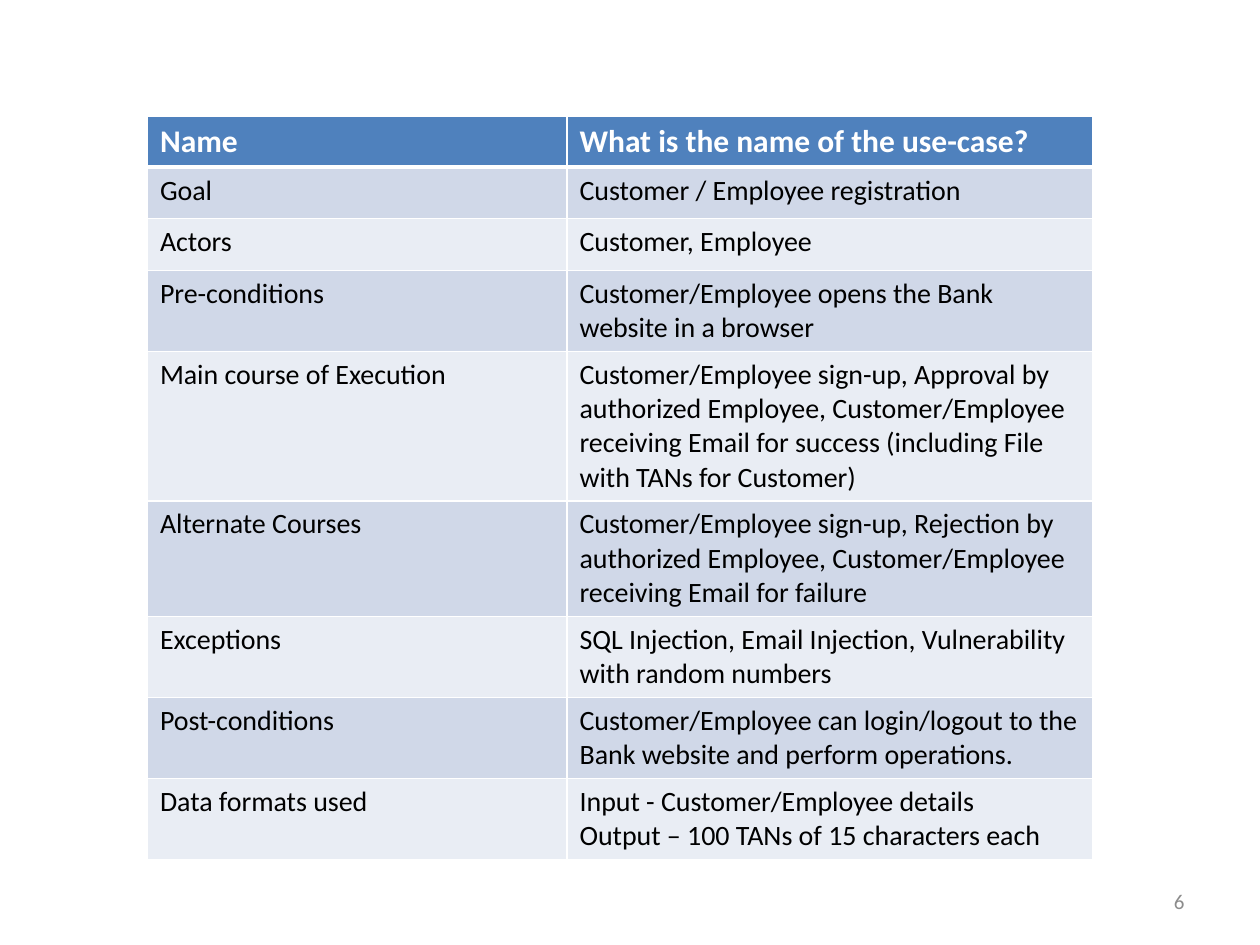
from lxml.etree import SubElement
from pptx import Presentation
from pptx.dml.color import RGBColor
from pptx.enum.text import MSO_ANCHOR, PP_ALIGN
from pptx.oxml.ns import qn
from pptx.util import Inches, Pt

FONT = "Calibri"
COLORS = {
    "header": "4F81BD",
    "odd": "D0D8E8",
    "even": "E9EDF4",
    "white": "FFFFFF",
    "text": "000000",
    "number": "8C8C8C",
}
USE_CASE = [
    ("Name", "What is the name of the use-case?"),
    ("Goal", "Customer / Employee registration"),
    ("Actors", "Customer, Employee"),
    ("Pre-conditions", "Customer/Employee opens the Bank website in a browser"),
    ("Main course of Execution",
     "Customer/Employee sign-up, Approval by authorized Employee, "
     "Customer/Employee receiving Email for success (including File with TANs for Customer)"),
    ("Alternate Courses",
     "Customer/Employee sign-up, Rejection by authorized Employee, "
     "Customer/Employee receiving Email for failure"),
    ("Exceptions", "SQL Injection, Email Injection, Vulnerability with random numbers"),
    ("Post-conditions",
     "Customer/Employee can login/logout to the Bank website and perform operations."),
    ("Data formats used",
     "Input - Customer/Employee details\nOutput – 100 TANs of 15 characters each"),
]


def color(name):
    return RGBColor.from_string(COLORS[name])


def format_text(tf, size, name, bold=False):
    for p in tf.paragraphs:
        for r in p.runs:
            r.font.name = FONT
            r.font.size = Pt(size)
            r.font.bold = bold
            r.font.color.rgb = color(name)


def set_borders(cell, top, bottom):
    tcPr = cell._tc.get_or_add_tcPr()
    for side, width in (("L", 1), ("R", 1), ("T", top), ("B", bottom)):
        ln = SubElement(tcPr, qn(f"a:ln{side}"), w=str(Pt(width)))
        fill = SubElement(ln, qn("a:solidFill"))
        SubElement(fill, qn("a:srgbClr"), val=COLORS["white"])


def format_cell(cell, row):
    header = row == 0
    set_borders(cell, 3 if row == 1 else 1, 3 if header else 1)
    cell.fill.solid()
    band = "odd" if row % 2 else "even"
    cell.fill.fore_color.rgb = color("header" if header else band)
    format_text(cell.text_frame, 18 if header else 16, "white" if header else "text", header)


def add_use_case_table(s):
    frame = s.shapes.add_table(len(USE_CASE), 2, Inches(1.17), Inches(0.92),
                               Inches(7.5), Inches(5.81))
    table = frame.table
    for column, width in zip(table.columns, (3.33, 4.17)):
        column.width = Inches(width)
    for i, texts in enumerate(USE_CASE):
        table.rows[i].height = Inches(0.41 if i else 0.24)
        for cell, text in zip(table.rows[i].cells, texts):
            cell.text_frame.text = text
            format_cell(cell, i)
    frame.height = Inches(5.81)


def add_slide_number(s, number):
    sp = s.shapes.add_textbox(Inches(7.17), Inches(6.95), Inches(2.33), Inches(0.4))
    tf = sp.text_frame
    tf.word_wrap = True
    tf.vertical_anchor = MSO_ANCHOR.MIDDLE
    tf.text = number
    tf.paragraphs[0].alignment = PP_ALIGN.RIGHT
    format_text(tf, 12, "number")


def main():
    prs = Presentation()
    prs.slide_width = Inches(10)
    prs.slide_height = Inches(7.5)
    s = prs.slides.add_slide(prs.slide_layouts[6])
    add_use_case_table(s)
    add_slide_number(s, "6")
    prs.save("out.pptx")


if __name__ == "__main__":
    main()
